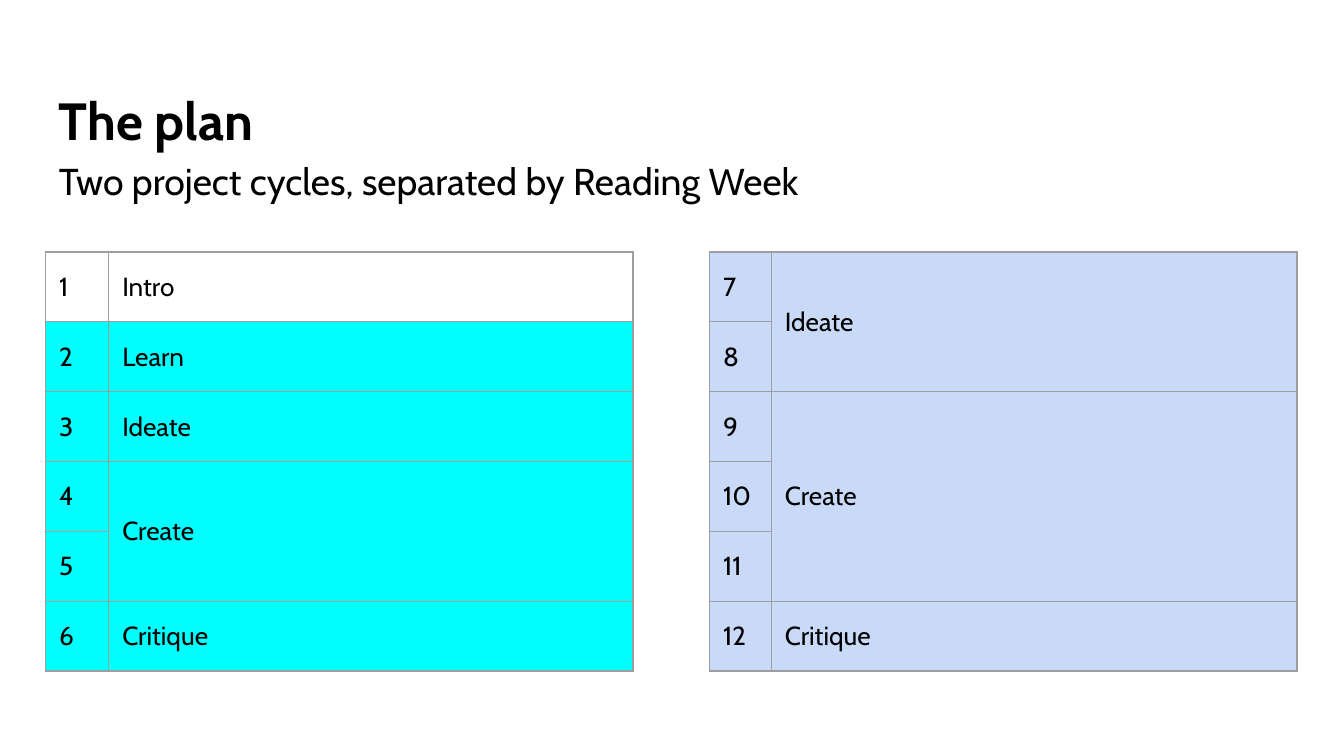
import pptx
import pptx.util
import pptx.dml.color
import pptx.enum.text
import pptx.oxml
import pptx.oxml.ns
import lxml.etree

Inches, Pt = pptx.util.Inches, pptx.util.Pt
RGB = pptx.dml.color.RGBColor
BLACK = RGB(0, 0, 0)
CYAN = RGB(0, 255, 255)
BLUE = RGB(0xC9, 0xDA, 0xF8)
GREY = RGB(0x9E, 0x9E, 0x9E)
MIDDLE = pptx.enum.text.MSO_ANCHOR.MIDDLE
TOP = pptx.enum.text.MSO_ANCHOR.TOP

WIDE = 10
HIGH = WIDE * 9 / 16
EDGE, ROW = 0.34, 0.52
SIDES = ("left", "top", "right", "bottom")
PAD = {f"margin_{side}": Inches(0.1) for side in SIDES}

HEAD = [
    ("The plan", {"size": Pt(28), "bold": True}, {"line_spacing": 1.15}),
    ("Two project cycles, separated by Reading Week",
     {"size": Pt(20), "bold": False},
     {"line_spacing": 1.15, "space_after": Pt(10)}),
]
CYCLES = [
    {"left": 5.28, "cols": (0.46, 3.91), "week": 7,
     "steps": [("Ideate", 2, BLUE), ("Create", 3, BLUE), ("Critique", 1, BLUE)]},
    {"left": EDGE, "cols": (0.47, 3.9), "week": 1,
     "steps": [("Intro", 1, None), ("Learn", 1, CYAN), ("Ideate", 1, CYAN),
               ("Create", 2, CYAN), ("Critique", 1, CYAN)]},
]


def apply(item, form):
    for key, value in form.items():
        setattr(item, key, value)


def write(para, text, form):
    run = para.add_run()
    run.text = text
    apply(run.font, {"name": "Cabin", **form})
    run.font.color.rgb = BLACK


def border(cell):
    props = cell._tc.get_or_add_tcPr()
    qn = pptx.oxml.ns.qn
    for spot, side in enumerate("LRTB"):
        line = lxml.etree.Element(qn(f"a:ln{side}"), w=str(Pt(0.75)))
        fill = lxml.etree.SubElement(line, qn("a:solidFill"))
        lxml.etree.SubElement(fill, qn("a:srgbClr"), val=str(GREY))
        props.insert(spot, line)


def style(cell, color):
    apply(cell, {"vertical_anchor": MIDDLE, **PAD})
    if color is None:
        cell.fill.background()
    else:
        cell.fill.solid()
        cell.fill.fore_color.rgb = color
    border(cell)


def label(cell, text):
    write(cell.text_frame.paragraphs[0], text, {"size": Pt(14)})


def draw(slide, cycle):
    cols, steps = cycle["cols"], cycle["steps"]
    count = sum(span for _, span, _ in steps)
    box = map(Inches, (cycle["left"], HIGH / 3, sum(cols), ROW * count))
    table = slide.shapes.add_table(count, len(cols), *box).table
    apply(table, {"first_row": False, "horz_banding": False})
    for col, width in zip(table.columns, cols):
        col.width = Inches(width)
    row = 0
    for text, span, color in steps:
        for spot in range(row, row + span):
            for cell in table.rows[spot].cells:
                style(cell, color)
            label(table.cell(spot, 0), str(cycle["week"] + spot))
        label(table.cell(row, 1), text)
        if span > 1:
            table.cell(row, 1).merge(table.cell(row + span - 1, 1))
        row += span


def main():
    deck = pptx.Presentation()
    apply(deck, {"slide_width": Inches(WIDE), "slide_height": Inches(HIGH)})
    slide = deck.slides.add_slide(deck.slide_layouts[6])
    for cycle in CYCLES:
        draw(slide, cycle)
    box = map(Inches, (EDGE, 0.49, WIDE - 2 * EDGE, 1.29))
    frame = slide.shapes.add_textbox(*box).text_frame
    apply(frame, {"word_wrap": True, "vertical_anchor": TOP, **PAD})
    for spot, (text, font, gaps) in enumerate(HEAD):
        para = frame.add_paragraph() if spot else frame.paragraphs[0]
        apply(para, gaps)
        write(para, text, font)
    deck.save("out.pptx")


if __name__ == "__main__":
    main()
